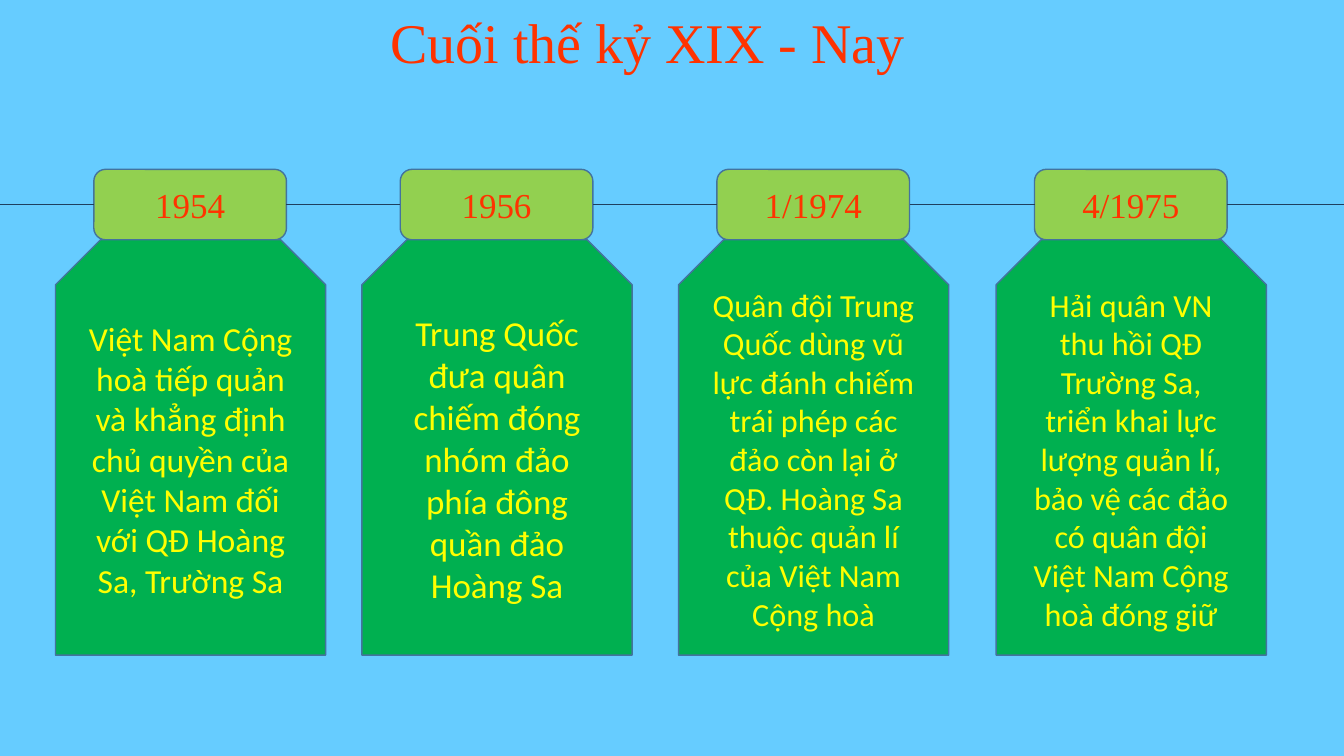
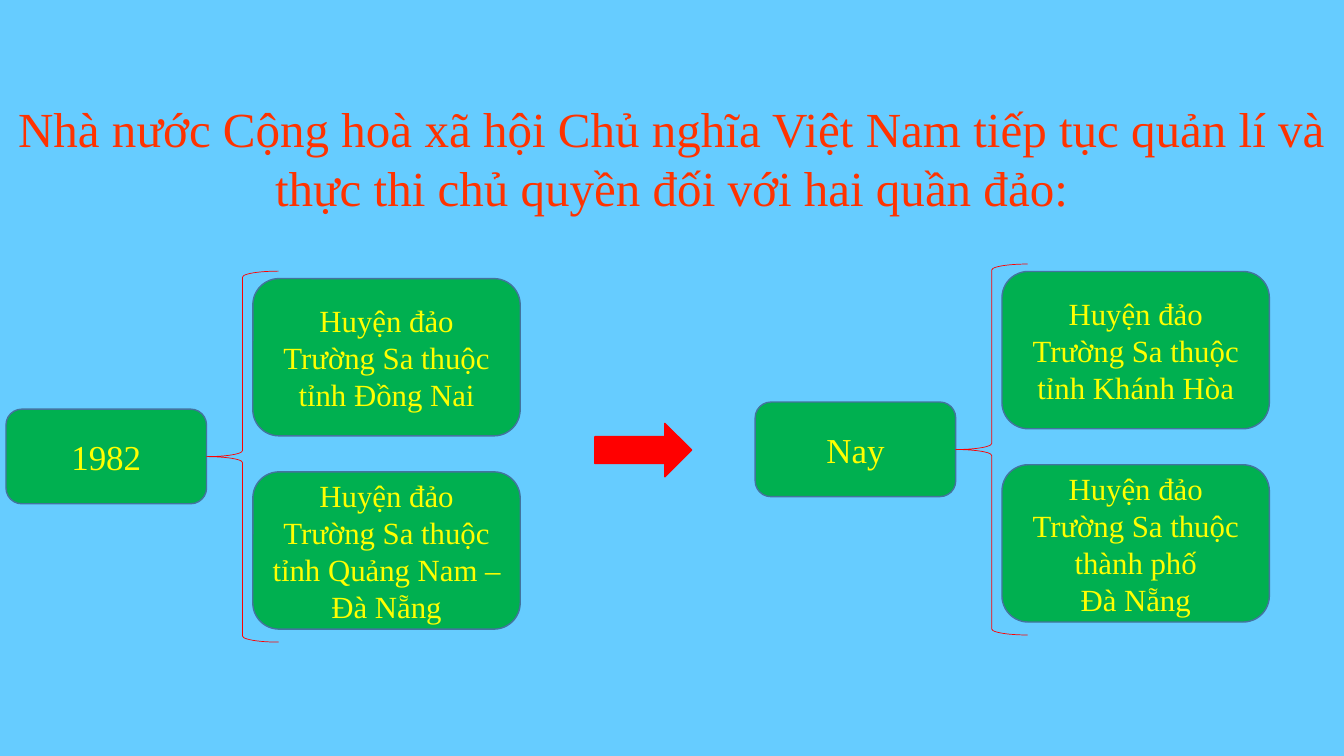
from typing import NamedTuple

from lxml import etree
from pptx import Presentation
from pptx.dml.color import RGBColor
from pptx.enum.shapes import MSO_CONNECTOR, MSO_SHAPE
from pptx.enum.text import MSO_ANCHOR, MSO_AUTO_SIZE, PP_ALIGN
from pptx.oxml.ns import qn
from pptx.util import Inches, Pt

ROUNDED = MSO_SHAPE.ROUNDED_RECTANGLE
SNIPPED = MSO_SHAPE.SNIP_2_SAME_RECTANGLE
BRACE = MSO_SHAPE.LEFT_BRACE
ARROW = MSO_SHAPE.RIGHT_ARROW
STRAIGHT = MSO_CONNECTOR.STRAIGHT
TOP, MIDDLE = MSO_ANCHOR.TOP, MSO_ANCHOR.MIDDLE
CENTER = PP_ALIGN.CENTER
NO_AUTOFIT = MSO_AUTO_SIZE.NONE

COLORS = {
    "background": "66CCFF",
    "title": "FF3300",
    "tag": "92D050",
    "card": "00B050",
    "card_text": "FFFF00",
    "outline": "43739E",
    "timeline": "1F3F5F",
    "accent": "FF0000",
}
SERIF, SANS = "Times New Roman", "Calibri"
TITLE_ONLY = 5

# Left edge in percent of the slide width, date, event, text size
EVENTS = [
    (4.13, "1954", "Việt Nam Cộng hoà tiếp quản và khẳng định chủ quyền "
     "của Việt Nam đối với QĐ Hoàng Sa, Trường Sa", 24),
    (26.93, "1956", "Trung Quốc đưa quân chiếm đóng nhóm đảo phía đông "
     "quần đảo Hoàng Sa", 25),
    (50.49, "1/1974", "Quân đội Trung Quốc dùng vũ lực đánh chiếm trái phép "
     "các đảo còn lại ở QĐ. Hoàng Sa thuộc quản lí của Việt Nam Cộng hoà", 23),
    (74.12, "4/1975", "Hải quân VN thu hồi QĐ Trường Sa, triển khai lực lượng "
     "quản lí, bảo vệ các đảo có quân đội Việt Nam Cộng hoà đóng giữ", 23),
]


class Box(NamedTuple):
    left: float
    top: float
    width: float
    height: float

    def inner(self, left, top, width, height):
        """Inner box, given in percent of this one."""
        return Box(self.left + self.width * left / 100,
                   self.top + self.height * top / 100,
                   self.width * width / 100, self.height * height / 100)

    def emu(self):
        return [Inches(length) for length in self]


PAGE = Box(0, 0, 13.33, 7.5)


def color(name):
    return RGBColor.from_string(COLORS[name])


def write(shape, text, size, font=SERIF, ink="card_text", anchor=MIDDLE):
    frame = shape.text_frame
    frame.word_wrap = True
    frame.auto_size = NO_AUTOFIT
    frame.vertical_anchor = anchor
    paragraph = frame.paragraphs[0]
    paragraph.text = text
    paragraph.alignment = CENTER
    for run in paragraph.runs:
        run.font.name = font
        run.font.size = Pt(size)
        run.font.color.rgb = color(ink)


def add_block(slide, kind, box, fill=None, line="outline", weight=1):
    shape = slide.shapes.add_shape(kind, *box.emu())
    shape.shadow.inherit = False
    if fill:
        shape.fill.solid()
        shape.fill.fore_color.rgb = color(fill)
    else:
        shape.fill.background()
    shape.line.color.rgb = color(line)
    shape.line.width = Pt(weight)
    return shape


def add_level_line(slide, start, end, height):
    line = slide.shapes.add_connector(
        STRAIGHT, Inches(start), Inches(height), Inches(end), Inches(height))
    line.line.color.rgb = color("timeline")
    line.line.width = Pt(0.5)
    etree.SubElement(line._element.spPr, qn("a:effectLst"))


def add_titled_slide(presentation, text, box, size):
    slide = presentation.slides.add_slide(
        presentation.slide_layouts[TITLE_ONLY])
    title = slide.shapes.title
    title.left, title.top, title.width, title.height = box.emu()
    write(title, text, size, ink="title", anchor=TOP)
    return slide


def add_event(slide, box, date, text, size):
    """Date tag above a snipped card; returns the box of the tag."""
    tag_box = box.inner(14.2, 0, 71.3, 14.5)
    tag = add_block(slide, ROUNDED, tag_box, "tag")
    write(tag, date, 25, ink="title")
    card = add_block(slide, SNIPPED, box.inner(0, 14.5, 100, 85.5), "card")
    write(card, text, size, font=SANS)
    return tag_box


def add_branch(slide, box, period, districts):
    """Period on the left, a brace, and two district cards."""
    root = add_block(slide, ROUNDED, box.inner(0, 37.2, 39, 25.5), "card")
    write(root, period, 25)
    add_block(slide, BRACE, box.inner(39, 0, 14, 100),
              line="accent", weight=0.5)
    for row, district in enumerate(districts):
        card_box = box.inner(48, 2 + 52.1 * row, 52, 42.4)
        write(add_block(slide, ROUNDED, card_box, "card"), district, 22)


def build_timeline(presentation):
    slide = add_titled_slide(presentation, "Cuối thế kỷ XIX - Nay",
                             PAGE.inner(26.93, 0.27, 42.54, 10.27), 40)
    start = PAGE.left
    for left, date, text, size in EVENTS:
        tag = add_event(slide, PAGE.inner(left, 22.4, 20.1, 64.27),
                        date, text, size)
        height = tag.top + tag.height / 2
        add_level_line(slide, start, tag.left, height)
        start = tag.left + tag.width
    add_level_line(slide, start, PAGE.width, height)


def build_districts(presentation):
    slide = add_titled_slide(
        presentation,
        "Nhà nước Cộng hoà xã hội Chủ nghĩa Việt Nam tiếp tục quản lí và "
        "thực thi chủ quyền đối với hai quần đảo:",
        PAGE.inner(0, 12.4, 100, 17.07), 35)
    district = "Huyện đảo Trường Sa thuộc "
    add_branch(slide, PAGE.inner(0.45, 35.87, 38.26, 49.07), "1982",
               [district + "tỉnh Đồng Nai",
                district + "tỉnh Quảng Nam – Đà Nẵng"])
    add_block(slide, ARROW, PAGE.inner(44.26, 56, 7.2, 7.07),
              "accent", line="accent")
    add_branch(slide, PAGE.inner(56.19, 34.93, 38.26, 49.07), "Nay",
               [district + "tỉnh Khánh Hòa",
                district + "thành phố\vĐà Nẵng"])


def main():
    presentation = Presentation()
    presentation.slide_width = Inches(PAGE.width)
    presentation.slide_height = Inches(PAGE.height)
    # Shared background
    background = presentation.slide_master.background.fill
    background.solid()
    background.fore_color.rgb = color("background")
    build_timeline(presentation)
    build_districts(presentation)
    presentation.save("out.pptx")


if __name__ == "__main__":
    main()
